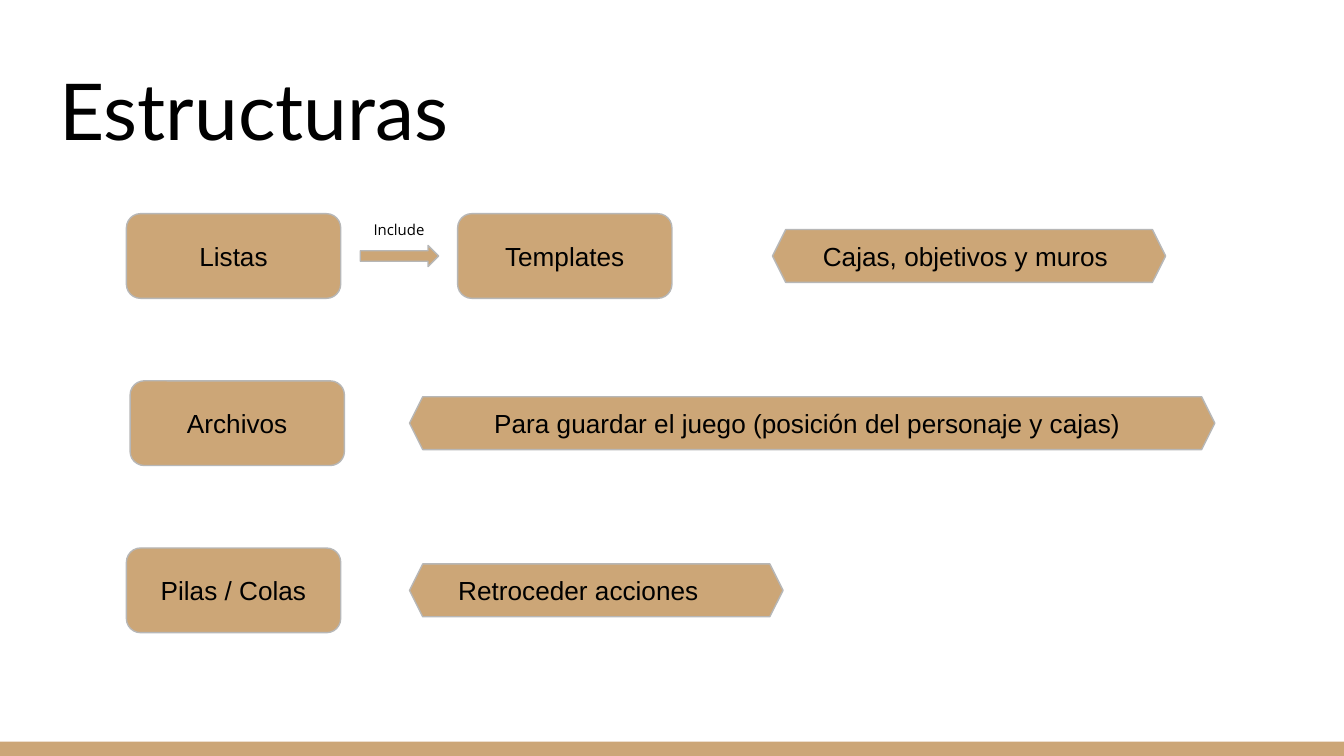
from dataclasses import dataclass

import pptx
import pptx.dml.color
import pptx.enum.shapes
import pptx.enum.text
import pptx.shapes.autoshape
import pptx.slide
import pptx.text.text
import pptx.util

Cm = pptx.util.Cm
Pt = pptx.util.Pt
SHAPE = pptx.enum.shapes.MSO_SHAPE
ALIGN = pptx.enum.text.PP_ALIGN
ANCHOR = pptx.enum.text.MSO_ANCHOR

COLOURS = {"tan": "CCA677", "outline": "B7B7B7", "text": "000000"}

SLIDE_WIDTH, SLIDE_HEIGHT = 25.4, 14.29
FOOTER_HEIGHT = 0.27
ROW_TOP, ROW_PITCH = 4.04, 3.16
BOX_WIDTH, BOX_HEIGHT = 4.05, 1.6
PURPOSE_HEIGHT = 1.0
ARROW_HEIGHT = 0.4
INCLUDE_LEFT, INCLUDE_WIDTH = 6.81, 1.48


@dataclass(frozen=True)
class Structure:
    name: str
    row: int
    left: float


@dataclass(frozen=True)
class Purpose:
    text: str
    row: int
    left: float
    width: float


STRUCTURES = [
    Structure("Listas", 0, 2.39),
    Structure("Archivos", 1, 2.46),
    Structure("Pilas / Colas", 2, 2.39),
    Structure("Templates", 0, 8.65),
]
PURPOSES = [
    Purpose("Cajas, objetivos y muros", 0, 14.6, 7.43),
    Purpose("Para guardar el juego (posición del personaje y cajas)", 1, 7.74, 15.22),
    Purpose("Retroceder acciones", 2, 7.74, 7.06),
]


def rgb(name: str) -> pptx.dml.color.RGBColor:
    return pptx.dml.color.RGBColor.from_string(COLOURS[name])


def top_in_row(row: int, height: float) -> float:
    """Top that centres an item of this height in its row."""
    return ROW_TOP + row * ROW_PITCH + (BOX_HEIGHT - height) / 2


def write(frame: pptx.text.text.TextFrame, text: str, size: float, font: str,
          align: ALIGN = ALIGN.LEFT, anchor: ANCHOR = ANCHOR.MIDDLE) -> None:
    frame.word_wrap = True
    frame.vertical_anchor = anchor
    frame.margin_left = frame.margin_right = Cm(0.25)
    frame.margin_top = frame.margin_bottom = Cm(0.25)
    paragraph = frame.paragraphs[0]
    paragraph.text = text
    paragraph.alignment = align
    paragraph.font.size = Pt(size)
    paragraph.font.name = font
    paragraph.font.color.rgb = rgb("text")


def add_tan_shape(slide: pptx.slide.Slide, kind: SHAPE, left: float, top: float,
                  width: float, height: float,
                  outlined: bool = True) -> pptx.shapes.autoshape.Shape:
    shape = slide.shapes.add_shape(kind, Cm(left), Cm(top), Cm(width), Cm(height))
    shape.shadow.inherit = False
    shape.fill.solid()
    shape.fill.fore_color.rgb = rgb("tan")
    if outlined:
        shape.line.color.rgb = rgb("outline")
        shape.line.width = Pt(0.75)
    else:
        shape.line.fill.background()
    return shape


def add_label(slide: pptx.slide.Slide, text: str, left: float, top: float,
              width: float, height: float, size: float, font: str,
              anchor: ANCHOR) -> None:
    label = slide.shapes.add_textbox(Cm(left), Cm(top), Cm(width), Cm(height))
    write(label.text_frame, text, size, font, anchor=anchor)


def add_structure(slide: pptx.slide.Slide, structure: Structure) -> None:
    box = add_tan_shape(slide, SHAPE.ROUNDED_RECTANGLE, structure.left,
                        top_in_row(structure.row, BOX_HEIGHT), BOX_WIDTH, BOX_HEIGHT)
    write(box.text_frame, structure.name, 14, "Arial", ALIGN.CENTER)


def add_purpose(slide: pptx.slide.Slide, purpose: Purpose) -> None:
    hexagon = add_tan_shape(slide, SHAPE.HEXAGON, purpose.left,
                            top_in_row(purpose.row, PURPOSE_HEIGHT),
                            purpose.width, PURPOSE_HEIGHT)
    write(hexagon.text_frame, purpose.text, 14, "Arial")


def main() -> None:
    presentation = pptx.Presentation()
    presentation.slide_width = Cm(SLIDE_WIDTH)
    presentation.slide_height = Cm(SLIDE_HEIGHT)
    slide = presentation.slides.add_slide(presentation.slide_layouts[6])

    add_tan_shape(slide, SHAPE.RECTANGLE, 0, SLIDE_HEIGHT - FOOTER_HEIGHT,
                  SLIDE_WIDTH, FOOTER_HEIGHT, outlined=False)
    add_label(slide, "Estructuras", 0.87, 0.89, 23.67, 2.31, 42, "Lato", ANCHOR.BOTTOM)
    for structure in STRUCTURES:
        add_structure(slide, structure)
    add_tan_shape(slide, SHAPE.RIGHT_ARROW, INCLUDE_LEFT, top_in_row(0, ARROW_HEIGHT),
                  INCLUDE_WIDTH, ARROW_HEIGHT)
    add_label(slide, "Include", INCLUDE_LEFT, ROW_TOP, INCLUDE_WIDTH, 0.3,
              8, "Open Sans", ANCHOR.TOP)
    for purpose in PURPOSES:
        add_purpose(slide, purpose)

    presentation.save("out.pptx")


if __name__ == "__main__":
    main()
